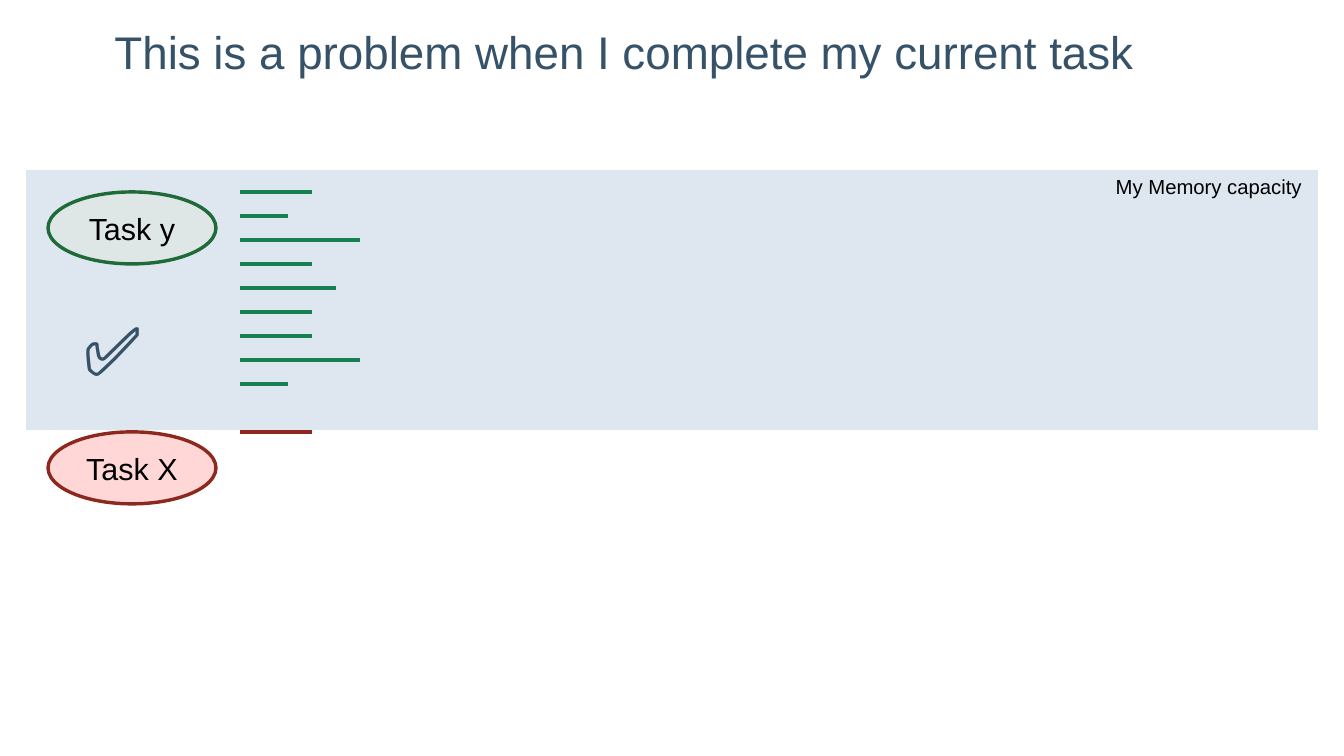
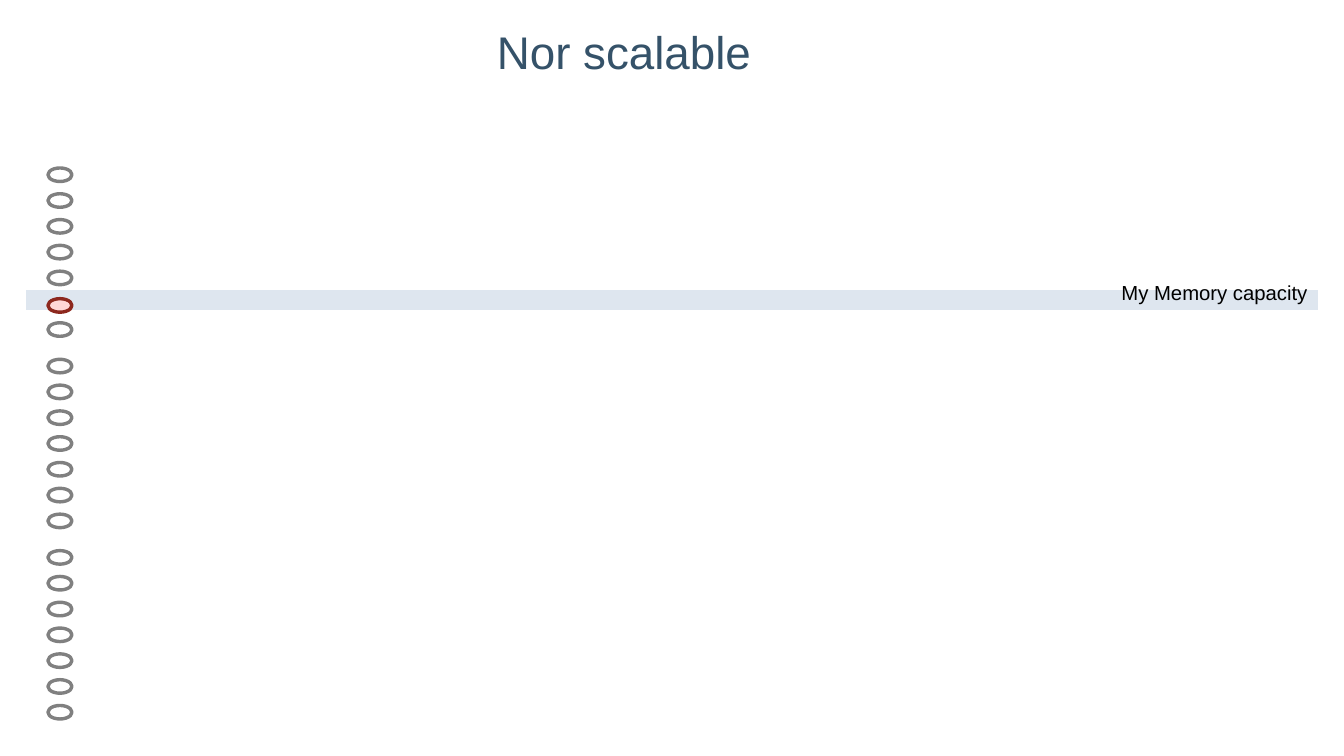
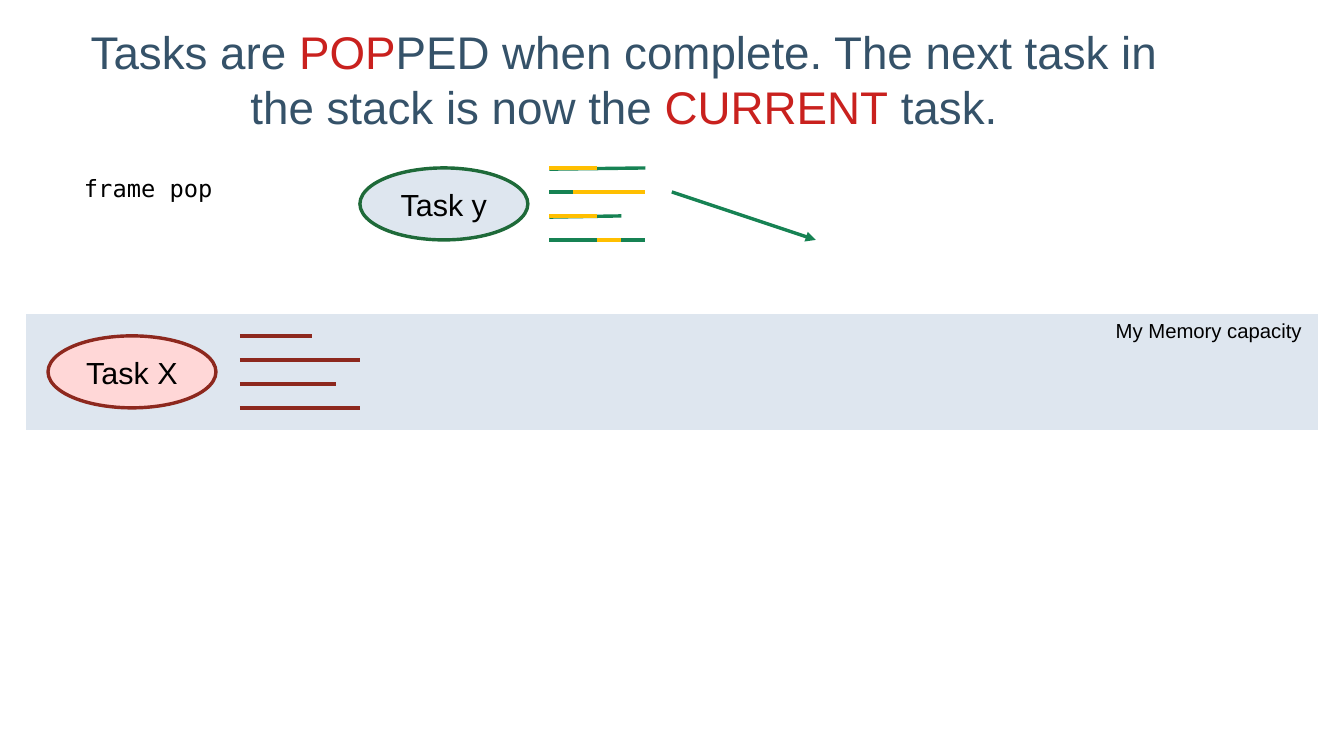
from lxml import etree
from pptx import Presentation
from pptx.dml.color import RGBColor
from pptx.enum import shapes as shp, text as txt
from pptx.oxml.ns import qn
from pptx.util import Pt

SLIDE_WIDTH, SLIDE_HEIGHT = 793.7, 446.46
GRID = 14.17  # spacing of the drawing grid, in points
STROKE = Pt(2)

BLACK = RGBColor(0x00, 0x00, 0x00)
WHITE = RGBColor(0xFF, 0xFF, 0xFF)
GREY = RGBColor(0x80, 0x80, 0x80)
NAVY = RGBColor(0x35, 0x52, 0x69)
RED = RGBColor(0xC9, 0x21, 0x1E)
MEMORY_BLUE = RGBColor(0xDE, 0xE6, 0xEF)
PINK = RGBColor(0xFF, 0xD7, 0xD7)
DARK_RED = RGBColor(0x8D, 0x28, 0x1E)
PALE_GREEN = RGBColor(0xDE, 0xE7, 0xE5)
DARK_GREEN = RGBColor(0x1E, 0x6A, 0x39)
GREEN = RGBColor(0x16, 0x82, 0x53)
YELLOW = RGBColor(0xFF, 0xBF, 0x00)

CODE_COLUMN = 10
POPPED_CODE_COLUMN = 22.9


def grid(steps):
    return Pt(steps * GRID)


def add_run(paragraph, words, size, color, font="Arial"):
    run = paragraph.add_run()
    run.text = words
    run.font.name = font
    run.font.size = Pt(size)
    run.font.color.rgb = color


def add_title(slide, *pieces):
    """Each piece is a (words, color) pair."""
    frame = slide.shapes.add_textbox(grid(3), grid(1), grid(46), grid(7)).text_frame
    frame.word_wrap = True
    frame.margin_left = frame.margin_right = frame.margin_top = frame.margin_bottom = 0
    paragraph = frame.paragraphs[0]
    paragraph.alignment = txt.PP_ALIGN.CENTER
    for words, color in pieces:
        add_run(paragraph, words, 27, color)


def add_label(slide, words, box, size, color=BLACK, font="Arial"):
    frame = slide.shapes.add_textbox(*box).text_frame
    frame.word_wrap = False
    frame.auto_size = txt.MSO_AUTO_SIZE.SHAPE_TO_FIT_TEXT
    add_run(frame.paragraphs[0], words, size, color, font)


def add_outlined(slide, kind, box, fill, line):
    shape = slide.shapes.add_shape(kind, *box)
    shape.shadow.inherit = False
    shape.fill.solid()
    shape.fill.fore_color.rgb = fill
    shape.line.color.rgb = line
    shape.line.width = STROKE
    return shape


def add_memory(slide, top, height, label_left=46 * GRID, label_top=None):
    """Band from grid row top, with its label at the band's top unless given."""
    band = (grid(1), grid(top), grid(54), grid(height))
    add_outlined(slide, shp.MSO_SHAPE.RECTANGLE, band, MEMORY_BLUE, WHITE)
    label_y = grid(top) if label_top is None else Pt(label_top)
    add_label(slide, "My Memory capacity", (Pt(label_left), label_y, Pt(124.6), Pt(21)), 12)


def add_task(slide, name, column, row, fill, line):
    box = (grid(column), grid(row), grid(7), grid(3))
    frame = add_outlined(slide, shp.MSO_SHAPE.OVAL, box, fill, line).text_frame
    frame.word_wrap = False
    frame.vertical_anchor = txt.MSO_ANCHOR.MIDDLE
    paragraph = frame.paragraphs[0]
    paragraph.alignment = txt.PP_ALIGN.CENTER
    add_run(paragraph, name, 18, BLACK)


def add_small_task(slide, top, fill, line):
    box = (grid(2), Pt(top), grid(1), Pt(8))
    add_outlined(slide, shp.MSO_SHAPE.OVAL, box, fill, line)


def add_stroke(slide, start, end, color, arrow=False):
    """Line between two (column, row) grid points."""
    stroke = slide.shapes.add_connector(
        shp.MSO_CONNECTOR.STRAIGHT, *map(grid, start), *map(grid, end))
    stroke.line.color.rgb = color
    stroke.line.width = STROKE
    if arrow:
        etree.SubElement(stroke.line._get_or_add_ln(), qn("a:tailEnd"), type="triangle")
    etree.SubElement(stroke._element.spPr, qn("a:effectLst"))


def add_code(slide, column, top_row, spans, color):
    """One stroke per row; a span is (start, end) and optionally the drop of its left end."""
    for row, (start, end, *drop) in enumerate(spans, top_row):
        add_stroke(slide, (column + start, row + sum(drop)), (column + end, row), color)


def build_completed_task(slide):
    add_title(slide, ("This is a problem when I complete my current task", NAVY))
    add_memory(slide, 7, 11)
    add_task(slide, "Task X", 2, 18, PINK, DARK_RED)
    add_code(slide, CODE_COLUMN, 18, [(0, 3)], DARK_RED)
    add_task(slide, "Task y", 2, 8, PALE_GREEN, DARK_GREEN)
    lengths = (3, 2, 5, 3, 4, 3, 3, 5, 2)
    add_code(slide, CODE_COLUMN, 8, [(0, length) for length in lengths], GREEN)
    add_label(slide, "✅", (grid(3), Pt(178), Pt(89.3), Pt(77)), 40, NAVY, "Roboto")


def build_many_tasks(slide):
    add_title(slide, ("Nor scalable", NAVY))
    add_memory(slide, 12, 1, label_left=655.2, label_top=162)
    current = (0, 5)
    for group in range(3):
        for place in range(7):
            if (group, place) != current:
                add_small_task(slide, 99.2 + 113 * group + 15.24 * place, WHITE, GREY)
    add_small_task(slide, 176.4, PINK, DARK_RED)


def build_popped_task(slide):
    add_title(slide, ("Tasks are ", NAVY), ("POP", RED),
              ("PED when complete. The next task in the stack is now the ", NAVY),
              ("CURRENT", RED), (" task.", NAVY))
    add_memory(slide, 13, 5)
    add_code(slide, CODE_COLUMN, 14, [(0, 3), (0, 5), (0, 4), (0, 5)], DARK_RED)
    add_task(slide, "Task X", 2, 14, PINK, DARK_RED)
    add_label(slide, "frame pop", (grid(3), grid(7), Pt(98.6), Pt(21)), 14,
              font="DejaVu Sans Mono")
    add_task(slide, "Task y", 15, 7, MEMORY_BLUE, DARK_GREEN)
    add_code(slide, POPPED_CODE_COLUMN, 7,
             [(0, 4, 0.05), (0, 3), (0, 3, 0.05), (0, 4)], GREEN)
    add_code(slide, POPPED_CODE_COLUMN, 7, [(0, 2), (1, 4), (0, 2), (2, 3)], YELLOW)
    add_stroke(slide, (28, 8), (34, 10), GREEN, arrow=True)


def main():
    deck = Presentation()
    deck.slide_width, deck.slide_height = Pt(SLIDE_WIDTH), Pt(SLIDE_HEIGHT)
    for build in (build_completed_task, build_many_tasks, build_popped_task):
        build(deck.slides.add_slide(deck.slide_layouts[6]))
    deck.save("out.pptx")


if __name__ == "__main__":
    main()
